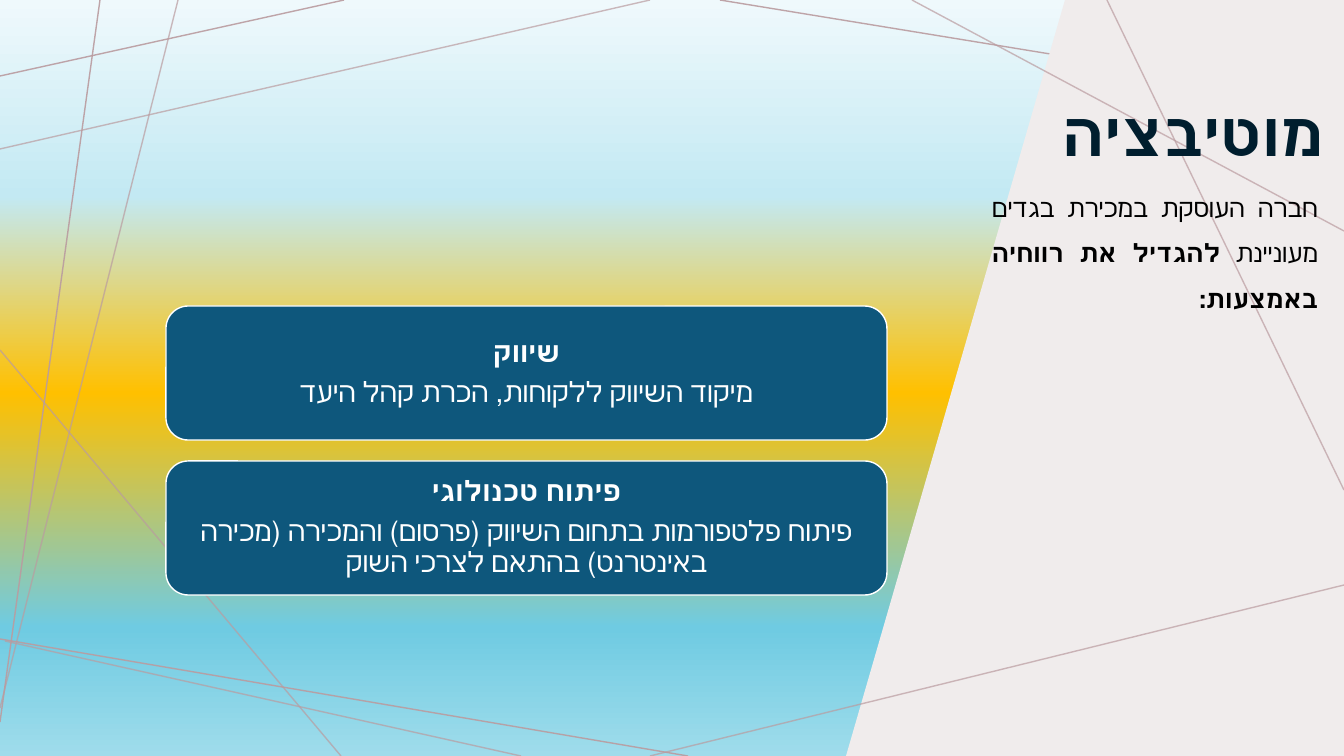
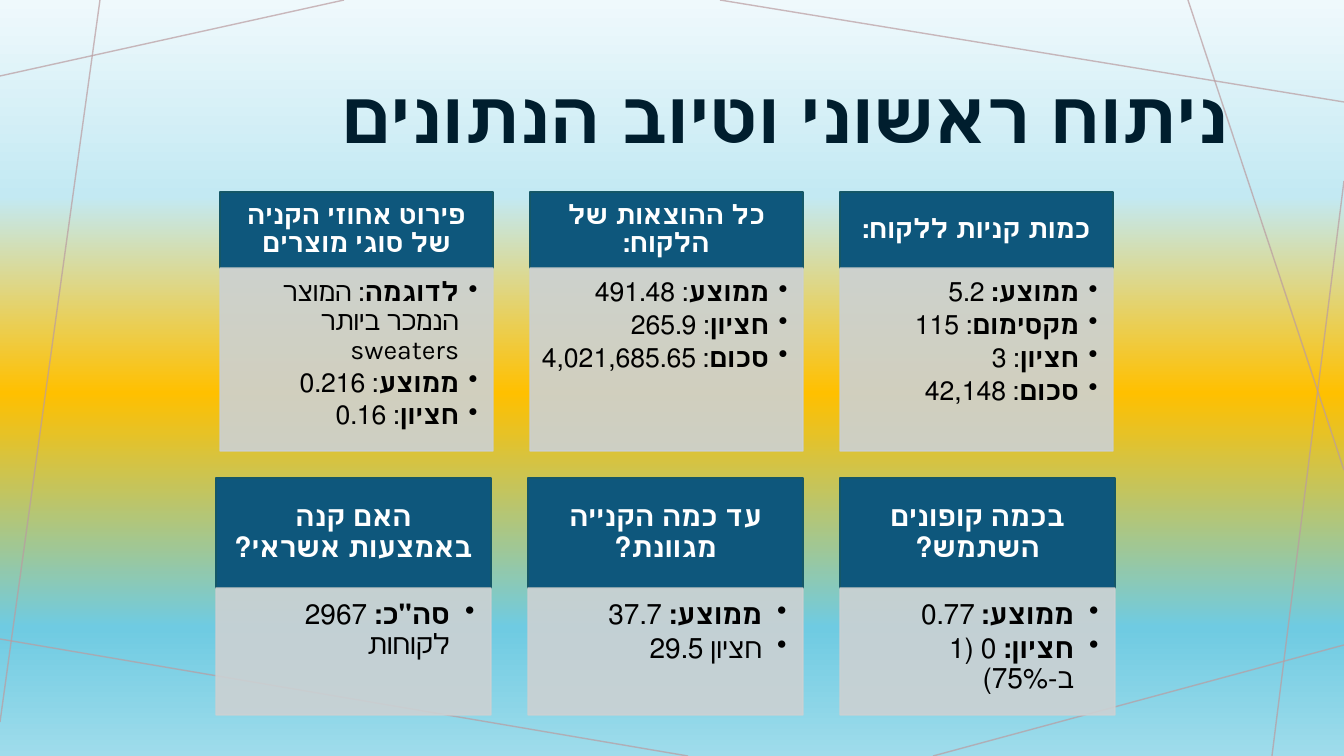
from dataclasses import dataclass

from lxml import etree
from pptx import Presentation
from pptx.dml.color import RGBColor
from pptx.enum import shapes, text
from pptx.oxml import ns
from pptx.util import Pt

SCALE = 12192000 / 1344
WIDTH, HEIGHT = 1344, 756


@dataclass(frozen=True)
class Theme:
    """Colours, font and type sizes shared by the slides."""
    font: str = "Karla"
    ink: str = "001E2E"
    black: str = "000000"
    white: str = "FFFFFF"
    navy: str = "0E577C"
    head_edge: str = "155767"
    card: str = "CCD1D3"
    panel: str = "F0ECEC"
    web: str = "BA9CA0"
    sky: tuple = ((0, "EFF9FC"), (26, "C3E9F3"), (52, "FFC000"),
                  (83, "6FCBE2"), (100, "9FDCEB"))
    side_title: int = 44
    title: int = 52
    lead: int = 18
    small: int = 19
    body: int = 20


THEME = Theme()
LEFT, CENTER, RIGHT, JUSTIFY = (text.PP_ALIGN.LEFT, text.PP_ALIGN.CENTER,
                                text.PP_ALIGN.RIGHT, text.PP_ALIGN.JUSTIFY)
TOP, MIDDLE = text.MSO_ANCHOR.TOP, text.MSO_ANCHOR.MIDDLE

# Web strands as x1, y1, x2, y2
COMMON_WEB = [(344, 0, 0, 76), (100, 0, 0, 722),
              (688, 756, 0, 639), (1344, 102, 720, 0)]
RIGHT_WEB = [(1344, 645, 933, 756), (1344, 181, 1272, 756),
             (1344, 470, 1188, 0)]
PANEL_WEB = [(650, 0, 0, 149), (178, 0, 0, 708), (341, 756, 0, 350),
             (1344, 490, 1107, 0), (1344, 231, 912, 0),
             (521, 756, 5, 641), (1344, 585, 650, 756)]

GOALS = [
    ("שיווק", "מיקוד השיווק ללקוחות, הכרת קהל היעד"),
    ("פיתוח טכנולוגי", "פיתוח פלטפורמות בתחום השיווק (פרסום) והמכירה "
                       "(מכירה באינטרנט) בהתאם לצרכי השוק"),
]

# Cards run from right to left; each fact is a bold label and a plain value
PURCHASES = [
    ("כמות קניות ללקוח:", [("ממוצע: ", "5.2"), ("מקסימום", ": 115"),
                           ("חציון", ": 3"), ("סכום", ": 42,148")]),
    ("כל ההוצאות של הלקוח:", [("ממוצע", ": 491.48"), ("חציון", ": 265.9"),
                              ("סכום", ": 4,021,685.65")]),
    ("פירוט אחוזי הקניה של סוגי מוצרים",
     [("לדוגמה", ": המוצר הנמכר ביותר sweaters"),
      ("ממוצע", ": 0.216"), ("חציון", ": 0.16")]),
]
HABITS = [
    ("בכמה קופונים השתמש?", [("ממוצע:", " 0.77"),
                             ("חציון: ", "0 (1 ב-75%)")]),
    ("עד כמה הקנייה מגוונת?", [("ממוצע: ", "37.7"), ("", "חציון 29.5")]),
    ("האם קנה באמצעות אשראי?", [("סה\"כ: ", "2967 לקוחות")]),
]


def px(*lengths):
    """Turn pixels into EMU."""
    return [round(length * SCALE) for length in lengths]


def rgb(code):
    """Read a colour from its hex code."""
    return RGBColor.from_string(code)


def add_xml(parent, tag, **attributes):
    """Append a drawing element with the given attributes."""
    return etree.SubElement(parent, ns.qn(tag),
                            {key: str(value) for key, value in attributes.items()})


def fade(item, percent):
    """Set the opacity of the fill and line colours."""
    for colour in item.element.iter(ns.qn("a:srgbClr")):
        add_xml(colour, "a:alpha", val=percent * 1000)


def paint(item, fill, edge=None, opacity=100):
    """Fill and outline a shape without a shadow."""
    item.shadow.inherit = False
    item.fill.solid()
    item.fill.fore_color.rgb = rgb(fill)
    if edge:
        item.line.color.rgb = rgb(edge)
        item.line.width = Pt(1)
    else:
        item.line.fill.background()
    if opacity < 100:
        fade(item, opacity)


def write(item, paragraphs, *, size, color=THEME.black, align=RIGHT, anchor=TOP,
          inset=(10, 5, 10, 5), spacing=None, after=None, bullet=None):
    """Write right-to-left paragraphs, each a list of (words, bold) runs."""
    frame = item.text_frame
    frame.word_wrap = True
    frame.vertical_anchor = anchor
    (frame.margin_left, frame.margin_top,
     frame.margin_right, frame.margin_bottom) = px(*inset)
    for index, runs in enumerate(paragraphs):
        line = frame.add_paragraph() if index else frame.paragraphs[0]
        line.alignment = align
        if spacing:
            line.line_spacing = spacing
        props = line._p.get_or_add_pPr()
        props.set("rtl", "1")
        if after:
            add_xml(add_xml(props, "a:spcAft"), "a:spcPct", val=after * 1000)
        if bullet:
            indent, = px(bullet)
            props.set("marL", str(indent))
            props.set("indent", str(-indent))
            add_xml(props, "a:buChar", char="•")
        for words, bold in runs:
            if words:
                run = line.add_run()
                run.text = words
                run.font.name = THEME.font
                run.font.size = Pt(size)
                run.font.bold = bold
                run.font.color.rgb = rgb(color)


def add_text(slide, box, paragraphs, **style):
    """Place free text."""
    write(slide.shapes.add_textbox(*px(*box)), paragraphs, **style)


def add_block(slide, kind, box, fill, edge, paragraphs, opacity=100, **style):
    """Place a painted shape that carries text."""
    block = slide.shapes.add_shape(kind, *px(*box))
    paint(block, fill, edge, opacity)
    write(block, paragraphs, **style)


def add_web(slide, strands, opacity=70):
    """Draw the thin crossing lines."""
    for ends in strands:
        strand = slide.shapes.add_connector(shapes.MSO_CONNECTOR.STRAIGHT, *px(*ends))
        strand.line.color.rgb = rgb(THEME.web)
        strand.line.width = Pt(1)
        fade(strand, opacity)
        add_xml(strand.element.spPr, "a:effectLst")


def add_panel(slide):
    """Draw the slanted panel at the right."""
    outline = slide.shapes.build_freeform(1065, 0, scale=SCALE)
    outline.add_line_segments([(WIDTH, 0), (WIDTH, HEIGHT), (846, HEIGHT)])
    paint(outline.convert_to_shape(), THEME.panel)


def add_cards(slide, cards, *, top, width, pitch, head, body, size, inset, bullet):
    """Lay out a row of headed cards from right to left."""
    rect = shapes.MSO_SHAPE.RECTANGLE
    side, edge = inset
    for column, (heading, facts) in enumerate(cards):
        left = 840 - column * pitch
        add_block(slide, rect, (left, top, width, head), THEME.navy, THEME.head_edge,
                  [[(heading, True)]], size=size, color=THEME.white, align=CENTER,
                  anchor=MIDDLE, inset=(side, edge, side, edge),
                  spacing=0.9, after=35)
        add_block(slide, rect, (left, top + head, width, body), THEME.card, THEME.card,
                  [[(label, True), (value, False)] for label, value in facts],
                  opacity=90, size=size, inset=(side - 4, side - 4, side, 17),
                  spacing=0.9, after=15, bullet=bullet)


def set_background(master):
    """Give every slide the vertical sky gradient."""
    fill = master.background.fill
    fill.gradient()
    fill.gradient_angle = 270
    stops = next(master.element.iter(ns.qn("a:gsLst")))
    for stop in list(stops):
        stops.remove(stop)
    for place, colour in THEME.sky:
        add_xml(add_xml(stops, "a:gs", pos=place * 1000), "a:srgbClr", val=colour)


def build_motivation(slide):
    """Motivation: two goals beside the slanted panel."""
    add_web(slide, COMMON_WEB, opacity=91)
    add_panel(slide)
    add_web(slide, PANEL_WEB)
    add_text(slide, (900, 90, 434, 90), [[("מוטיבציה", True)]],
             size=THEME.side_title, color=THEME.ink)
    add_text(slide, (982, 172, 346, 141),
             [[("חברה העוסקת במכירת בגדים מעוניינת ", False),
               ("להגדיל את רווחיה באמצעות:", True)]],
             size=THEME.lead, align=JUSTIFY, spacing=1.5)
    for row, (goal, means) in enumerate(GOALS):
        add_block(slide, shapes.MSO_SHAPE.ROUNDED_RECTANGLE,
                  (166, 306 + row * 155, 721, 134), THEME.navy, THEME.white,
                  [[(goal, True)], [(means, False)]], size=THEME.body,
                  color=THEME.white, align=CENTER, anchor=MIDDLE,
                  inset=(8, 8, 8, 8), spacing=0.9, after=35)


def build_analysis(slide):
    """First analysis: two rows of customer figures."""
    add_web(slide, COMMON_WEB + RIGHT_WEB)
    add_text(slide, (147, 38, 1092, 152), [[("ניתוח ראשוני וטיוב הנתונים", True)]],
             size=THEME.title, color=THEME.ink, anchor=MIDDLE)
    add_cards(slide, PURCHASES, top=192, width=273, pitch=310, head=76, body=183,
              size=THEME.small, inset=(15, 8), bullet=19)
    add_cards(slide, HABITS, top=478, width=275, pitch=312, head=110, body=127,
              size=THEME.body, inset=(16, 9), bullet=25)


def main():
    """Build and save the presentation."""
    deck = Presentation()
    deck.slide_width, deck.slide_height = px(WIDTH, HEIGHT)
    set_background(deck.slide_master)
    for build in (build_motivation, build_analysis):
        build(deck.slides.add_slide(deck.slide_layouts[6]))
    deck.save("out.pptx")


main()
